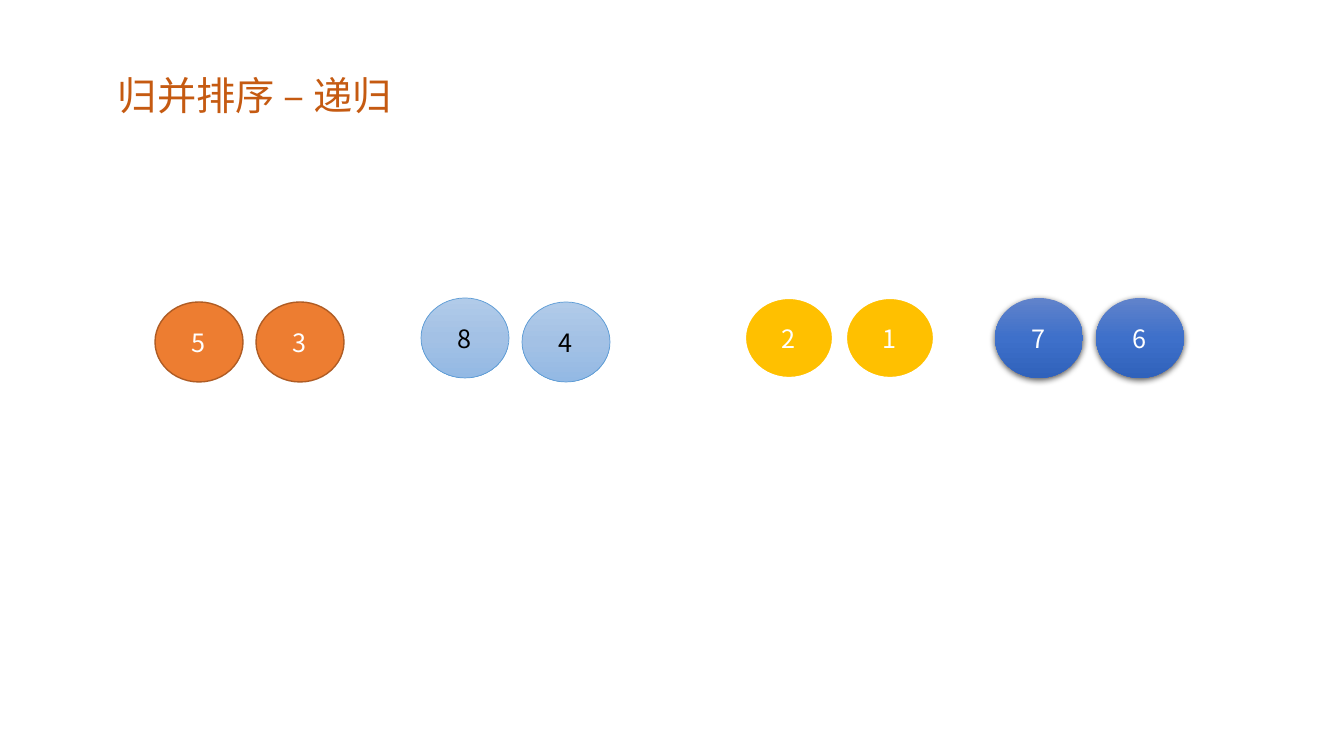
"""Builds the merge sort slide with four coloured pairs of numbers."""
from lxml.etree import SubElement
from pptx import Presentation
from pptx.dml.color import RGBColor
from pptx.enum.shapes import MSO_SHAPE
from pptx.enum.text import MSO_ANCHOR, MSO_AUTO_SIZE, PP_ALIGN
from pptx.oxml.ns import qn
from pptx.util import Pt

WHITE = RGBColor(0xFF, 0xFF, 0xFF)
BLACK = RGBColor(0x00, 0x00, 0x00)
RUST = RGBColor(0xC5, 0x5A, 0x11)
ORANGE = RGBColor(0xED, 0x7D, 0x31)
BROWN = RGBColor(0xAF, 0x5C, 0x24)
GOLD = RGBColor(0xFF, 0xC0, 0x00)
SKY = RGBColor(0x5B, 0x9B, 0xD5)
LIGHT_BLUES = (RGBColor(0xB1, 0xCB, 0xE9), RGBColor(0xA3, 0xC1, 0xE5), RGBColor(0x93, 0xB9, 0xE4))
DEEP_BLUES = (RGBColor(0x61, 0x83, 0xCB), RGBColor(0x3E, 0x70, 0xCA), RGBColor(0x30, 0x62, 0xBB))

TITLE = "归并排序 – 递归"
TITLE_FONT, CJK_FONT = "Lato", "Noto Sans CJK SC"
PAIRS = [
    dict(left=155, balls=[("5", 302), ("3", 302)], colors=(ORANGE,), line=(BROWN, 1), ink=WHITE),
    dict(left=421, balls=[("8", 298), ("4", 302)], colors=LIGHT_BLUES, line=(SKY, 0.5), ink=BLACK),
    dict(left=745, balls=[("2", 298), ("1", 298)], colors=(GOLD,), line=(WHITE, 1.5), ink=WHITE),
    dict(left=995, balls=[("7", 298), ("6", 298)], colors=DEEP_BLUES, line=None, ink=WHITE),
]
BALL_W, BALL_H, STEP = 88, 80, 101


def px(n):
    return round(n * 914400 / 100.8)


def style_text(p, text, size, font, color):
    p.text = text
    r = p.runs[0]
    r.font.size = Pt(size)
    r.font.name = font
    r.font.color.rgb = color
    SubElement(r.font._element, qn("a:ea"), typeface=CJK_FONT)


def fill_ball(sp, colors):
    if len(colors) == 1:
        sp.fill.solid()
        sp.fill.fore_color.rgb = colors[0]
        return
    sp.fill.gradient()
    sp.fill.gradient_angle = 270
    stops = sp._element.spPr.find(".//" + qn("a:gsLst"))
    for stop in list(stops):
        stops.remove(stop)
    for i, color in enumerate(colors):
        stop = SubElement(stops, qn("a:gs"), pos=str(100000 * i // (len(colors) - 1)))
        SubElement(stop, qn("a:srgbClr"), val=str(color))


def add_shadow(sp):
    effects = sp._element.spPr.find(qn("a:effectLst"))
    shadow = SubElement(effects, qn("a:outerShdw"), blurRad=str(Pt(4.5)), dist=str(Pt(1.5)),
                        dir="5400000", algn="ctr", rotWithShape="0")
    color = SubElement(shadow, qn("a:srgbClr"), val=str(BLACK))
    SubElement(color, qn("a:alpha"), val="63000")


def add_ball(s, left, top, text, pair):
    sp = s.shapes.add_shape(MSO_SHAPE.OVAL, px(left), px(top), px(BALL_W), px(BALL_H))
    fill_ball(sp, pair["colors"])
    sp.shadow.inherit = False
    if pair["line"]:
        color, width = pair["line"]
        sp.line.color.rgb = color
        sp.line.width = Pt(width)
    else:
        sp.line.fill.background()
        add_shadow(sp)
    tf = sp.text_frame
    tf.vertical_anchor = MSO_ANCHOR.MIDDLE
    p = tf.paragraphs[0]
    p.alignment = PP_ALIGN.CENTER
    style_text(p, text, 18, CJK_FONT, pair["ink"])


def main():
    prs = Presentation()
    prs.slide_width, prs.slide_height = px(1344), px(756)
    s = prs.slides.add_slide(prs.slide_layouts[6])
    for pair in PAIRS:
        for i, (text, top) in enumerate(pair["balls"]):
            add_ball(s, pair["left"] + i * STEP, top, text, pair)
    tf = s.shapes.add_textbox(px(108), px(66), px(318), px(57)).text_frame
    tf.word_wrap = False
    tf.auto_size = MSO_AUTO_SIZE.SHAPE_TO_FIT_TEXT
    style_text(tf.paragraphs[0], TITLE, 28, TITLE_FONT, RUST)
    prs.save("out.pptx")


if __name__ == "__main__":
    main()
